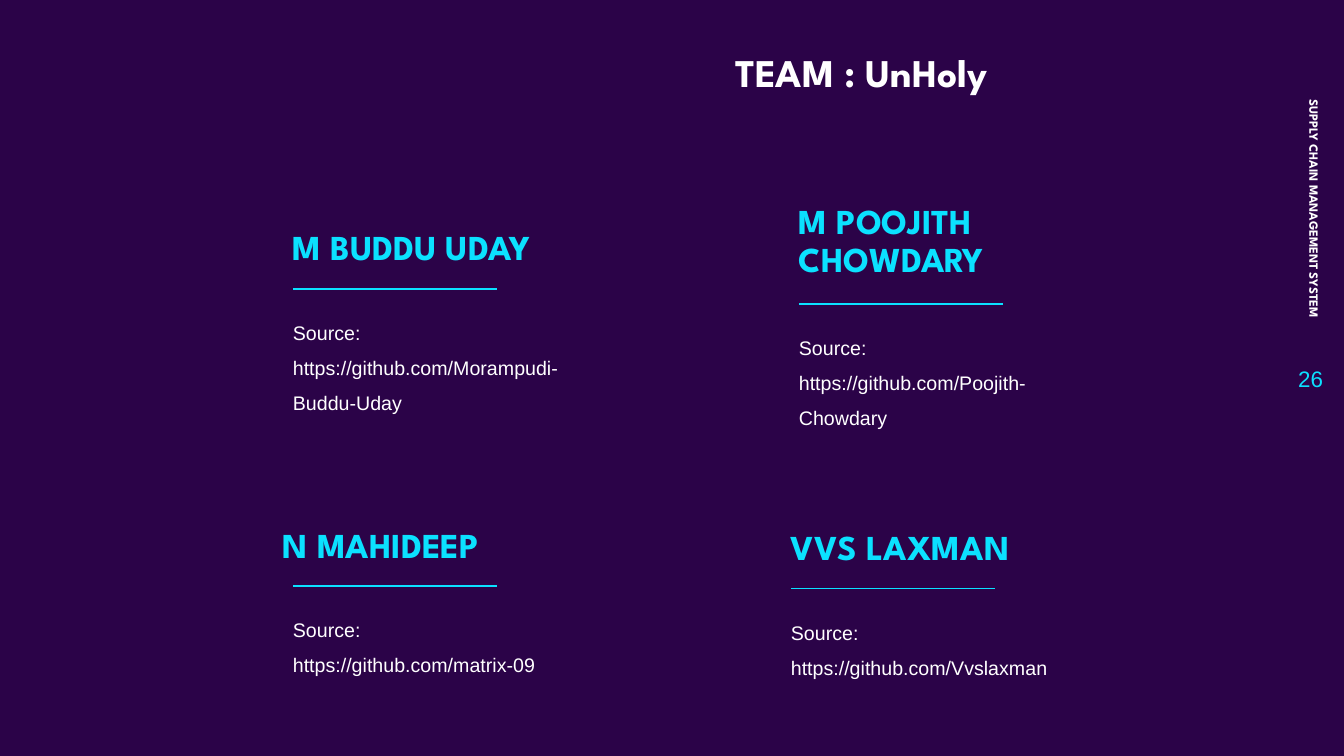
from dataclasses import dataclass

from lxml import etree
from pptx import Presentation
from pptx.dml.color import RGBColor
from pptx.enum.shapes import MSO_CONNECTOR
from pptx.enum.text import MSO_ANCHOR, PP_ALIGN
from pptx.oxml.ns import qn
from pptx.slide import Slide
from pptx.util import Emu, Pt

STRAIGHT = MSO_CONNECTOR.STRAIGHT
TOP, MIDDLE, BOTTOM = MSO_ANCHOR.TOP, MSO_ANCHOR.MIDDLE, MSO_ANCHOR.BOTTOM
LEFT, CENTER, RIGHT = PP_ALIGN.LEFT, PP_ALIGN.CENTER, PP_ALIGN.RIGHT

PURPLE = RGBColor(0x2B, 0x03, 0x48)
CYAN = RGBColor(0x0B, 0xE1, 0xFF)
WHITE = RGBColor(0xFF, 0xFF, 0xFF)

SLIDE_WIDTH, SLIDE_HEIGHT = 1344, 756
EMU_PER_PX = 12192000 / SLIDE_WIDTH
COLUMN_WIDTH = 297
NAME_HEIGHT = 109
LINK_HEIGHT = 127
LINK_GAP = 15
RULE_INDENT = 10
RULE_LENGTH = 204


@dataclass(frozen=True)
class TextStyle:
    font: dict
    color: RGBColor
    align: PP_ALIGN = LEFT
    anchor: MSO_ANCHOR = TOP
    line_spacing: float = 1.0


@dataclass(frozen=True)
class Member:
    name: str
    link: str
    left: int
    name_left: int
    name_top: int
    rule_top: int


HEADING_FONT = {"name": "League Spartan", "bold": True}
TITLE = TextStyle({**HEADING_FONT, "size": Pt(28)}, WHITE, CENTER, TOP, 0.9)
NAME = TextStyle({**HEADING_FONT, "size": Pt(25)}, CYAN, LEFT, BOTTOM, 0.9)
LINK = TextStyle({"name": "Arial", "size": Pt(14)}, WHITE, LEFT, TOP, 1.5)
FOOTER = TextStyle({**HEADING_FONT, "size": Pt(9)}, WHITE, RIGHT, MIDDLE)
NUMBER = TextStyle({"name": "Arial", "size": Pt(16)}, CYAN, RIGHT, MIDDLE)

MEMBERS = [
    Member("M BUDDU UDAY", "https://github.com/Morampudi-Buddu-Uday", 283, 283, 164, 289),
    Member("M POOJITH CHOWDARY", "https://github.com/Poojith-Chowdary", 789, 789, 176, 304),
    Member("N MAHIDEEP", "https://github.com/matrix-09", 283, 273, 462, 586),
    Member("VVS LAXMAN", "https://github.com/Vvslaxman", 781, 781, 464, 589),
]


def px(length: int) -> Emu:
    return Emu(round(length * EMU_PER_PX))


def add_text(
    page: Slide, lines: list[str], left: int, top: int, width: int, height: int,
    style: TextStyle, rotation: int = 0,
) -> None:
    box = page.shapes.add_textbox(px(left), px(top), px(width), px(height))
    box.rotation = rotation
    frame = box.text_frame
    frame.word_wrap = True
    frame.vertical_anchor = style.anchor
    frame.text = "\n".join(lines)
    for para in frame.paragraphs:
        para.alignment = style.align
        para.line_spacing = style.line_spacing
        for span in para.runs:
            for key, value in style.font.items():
                setattr(span.font, key, value)
            span.font.color.rgb = style.color


def add_rule(page: Slide, left: int, top: int) -> None:
    rule = page.shapes.add_connector(
        STRAIGHT, px(left), px(top), px(left + RULE_LENGTH), px(top)
    )
    rule.line.color.rgb = CYAN
    rule.line.width = Pt(0.75)
    etree.SubElement(rule.element.spPr, qn("a:effectLst"))


def add_member(page: Slide, member: Member) -> None:
    add_text(page, [member.name], member.name_left, member.name_top,
             COLUMN_WIDTH, NAME_HEIGHT, NAME)
    add_rule(page, member.left + RULE_INDENT, member.rule_top)
    add_text(page, ["Source:", member.link], member.left, member.rule_top + LINK_GAP,
             COLUMN_WIDTH, LINK_HEIGHT, LINK)


def main() -> None:
    deck = Presentation()
    deck.slide_width, deck.slide_height = px(SLIDE_WIDTH), px(SLIDE_HEIGHT)
    page = deck.slides.add_slide(deck.slide_layouts[6])
    page.background.fill.solid()
    page.background.fill.fore_color.rgb = PURPLE

    add_text(page, ["TEAM : UnHoly"], 581, 49, 561, 109, TITLE)
    for member in MEMBERS:
        add_member(page, member)
    add_text(page, ["SUPPLY CHAIN MANAGEMENT SYSTEM"], 1162, 155, 305, 40, FOOTER, 90)
    add_text(page, ["26"], 1273, 347, 60, 63, NUMBER)
    deck.save("out.pptx")


if __name__ == "__main__":
    main()
